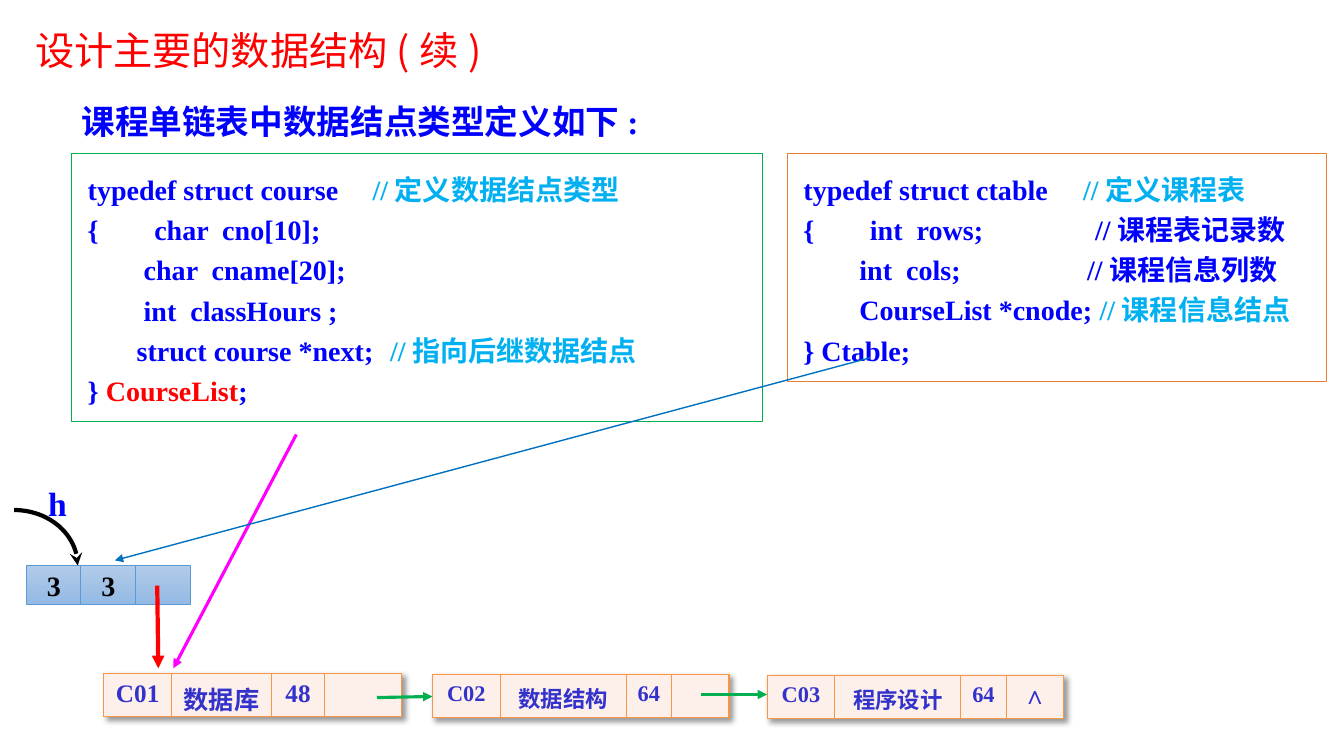
import math

from lxml import etree
from pptx import Presentation
from pptx import util as u
from pptx.dml.color import RGBColor
from pptx.enum import shapes, text
from pptx.oxml import ns

BLUE = RGBColor(0x00, 0x00, 0xFF)
CYAN = RGBColor(0x00, 0xB0, 0xF0)
RED = RGBColor(0xFF, 0x00, 0x00)
MAGENTA = RGBColor(0xFF, 0x00, 0xFF)
GREEN = RGBColor(0x00, 0xB0, 0x50)
ORANGE = RGBColor(0xED, 0x7D, 0x31)
LINK_BLUE = RGBColor(0x00, 0x70, 0xC0)
INDIGO = RGBColor(0x33, 0x33, 0xCC)
BLACK = RGBColor(0x00, 0x00, 0x00)
WHITE = RGBColor(0xFF, 0xFF, 0xFF)
CELL_EDGE = RGBColor(0x5B, 0x9B, 0xD5)
CELL_TOP = RGBColor(0xB1, 0xCB, 0xE9)
CELL_BOTTOM = RGBColor(0x93, 0xB9, 0xE4)
NODE_FILL = RGBColor(0xFD, 0xEF, 0xE9)
NODE_EDGE = RGBColor(0xF7, 0x96, 0x46)

SERIF, SANS = "Times New Roman", "Noto Sans CJK SC"
WIDTH, HEIGHT = u.Inches(13.33), u.Inches(7.5)
PLAIN_TABLE = "{2D5ABB26-0587-4C30-8999-92F81FD0307C}"

# Code lines: tab stops in columns, then (text, colour) pieces
COURSE_CODE = [
    ([21.2], [("typedef struct course\t", BLUE), ("//定义数据结点类型", CYAN)]),
    ([4.95], [("{\tchar  cno[10];", BLUE)]),
    ([], [("        char  cname[20];", BLUE)]),
    ([], [("        int  classHours ;", BLUE)]),
    ([22.5], [("       struct course *next;\t", BLUE), ("//指向后继数据结点", CYAN)]),
    ([], [("} ", BLUE), ("CourseList", RED), (";", BLUE)]),
]
CTABLE_CODE = [
    ([20.8], [("typedef struct ctable\t", BLUE), ("//定义课程表", CYAN)]),
    ([4.95, 21.7], [("{\tint  rows;\t//课程表记录数", BLUE)]),
    ([21.1], [("        int  cols;\t//课程信息列数", BLUE)]),
    ([], [("        CourseList *cnode; ", BLUE), ("//课程信息结点", CYAN)]),
    ([], [("} Ctable;", BLUE)]),
]


# Grid of 100 columns by 100 rows
def col(n):
    return u.Emu(round(WIDTH * n / 100))


def row(n):
    return u.Emu(round(HEIGHT * n / 100))


def place(x, y, w, h):
    return col(x), row(y), col(w), row(h)


def add_xml(parent, tag, **attrs):
    return etree.SubElement(parent, ns.qn(tag), {k: str(v) for k, v in attrs.items()})


def set_font(p, size, color, name=SERIF, bold=True):
    f = p.font
    f.name, f.size, f.bold = name, u.Pt(size), bold
    f.color.rgb = color


def add_label(slide, box, content, size, color, name=SERIF, bold=True):
    tf = slide.shapes.add_textbox(*place(*box)).text_frame
    tf.word_wrap = True
    p = tf.paragraphs[0]
    p.text = content
    set_font(p, size, color, name, bold)


def add_rect(slide, box, edge):
    sp = slide.shapes.add_shape(shapes.MSO_SHAPE.RECTANGLE, *place(*box))
    sp.shadow.inherit = False
    sp.line.color.rgb, sp.line.width = edge, u.Pt(0.5)
    return sp


def add_code(slide, box, edge, lines):
    sp = add_rect(slide, box, edge)
    sp.fill.solid()
    sp.fill.fore_color.rgb = WHITE
    tf = sp.text_frame
    tf.word_wrap = True
    tf.vertical_anchor = text.MSO_ANCHOR.TOP
    tf.margin_left = tf.margin_right = u.Inches(0.16)
    tf.margin_top = tf.margin_bottom = u.Inches(0.12)
    for i, (stops, pieces) in enumerate(lines):
        p = tf.add_paragraph() if i else tf.paragraphs[0]
        p.alignment = text.PP_ALIGN.LEFT
        p.line_spacing = 1.2
        if stops:
            tabs = add_xml(p._p.get_or_add_pPr(), "a:tabLst")
            for stop in stops:
                add_xml(tabs, "a:tab", pos=col(stop), algn="l")
        set_font(p, 20, BLUE)
        for content, color in pieces:
            r = p.add_run()
            r.text = content
            r.font.color.rgb = color


def add_head_cell(slide, box, value):
    sp = add_rect(slide, box, CELL_EDGE)
    sp.fill.gradient()
    sp.fill.gradient_angle = 270
    for stop, color in zip(sp.fill.gradient_stops, (CELL_TOP, CELL_BOTTOM)):
        stop.color.rgb = color
    if value:
        tf = sp.text_frame
        tf.word_wrap = False
        tf.vertical_anchor = text.MSO_ANCHOR.MIDDLE
        p = tf.paragraphs[0]
        p.text = value
        p.alignment = text.PP_ALIGN.CENTER
        set_font(p, 20, BLACK)


def add_arrow(slide, start, end, color, width):
    c = slide.shapes.add_connector(
        shapes.MSO_CONNECTOR.STRAIGHT, col(start[0]), row(start[1]), col(end[0]), row(end[1]))
    c.line.color.rgb, c.line.width = color, u.Pt(width)
    add_xml(c.line._get_or_add_ln(), "a:tailEnd", type="triangle")
    add_xml(c._element.spPr, "a:effectLst")


def add_curved_arrow(slide, x, y, w, h, steps=24):
    angles = [math.pi / 2 * i / steps for i in range(steps + 1)]
    points = [(col(x + w * math.sin(a)), row(y + h * (1 - math.cos(a)))) for a in angles]
    fb = slide.shapes.build_freeform(*points[0])
    fb.add_line_segments(points[1:], close=False)
    sp = fb.convert_to_shape()
    sp.shadow.inherit = False
    sp.fill.background()
    sp.line.color.rgb, sp.line.width = BLACK, u.Pt(3)
    add_xml(sp.line._get_or_add_ln(), "a:tailEnd", type="stealth")


def add_borders(cell):
    tcPr = cell._tc.get_or_add_tcPr()
    for i, side in enumerate(("a:lnL", "a:lnR", "a:lnT", "a:lnB")):
        ln = etree.Element(ns.qn(side), w=str(u.Pt(1)))
        add_xml(add_xml(ln, "a:solidFill"), "a:srgbClr", val=NODE_EDGE)
        tcPr.insert(i, ln)


def add_node(slide, x, y, widths, values, sizes):
    frame = slide.shapes.add_table(1, len(values), *place(x, y, sum(widths), 5.73))
    tbl = frame.table
    tblPr = tbl._tbl.tblPr
    tbl.first_row = tbl.horz_banding = False
    tblPr.find(ns.qn("a:tableStyleId")).text = PLAIN_TABLE
    # Soft shadow to the lower right
    effects = etree.Element(ns.qn("a:effectLst"))
    tblPr.insert(0, effects)
    shadow = add_xml(effects, "a:outerShdw", blurRad=u.Pt(4), dist=u.Pt(3), dir=2700000, algn="tl")
    add_xml(add_xml(shadow, "a:srgbClr", val=BLACK), "a:alpha", val=40000)
    for i, (width, value, size) in enumerate(zip(widths, values, sizes)):
        tbl.columns[i].width = col(width)
        cell = tbl.cell(0, i)
        cell.fill.solid()
        cell.fill.fore_color.rgb = NODE_FILL
        cell.margin_top, cell.margin_bottom = u.Inches(0.07), 0
        add_borders(cell)
        p = cell.text_frame.paragraphs[0]
        p.text = value
        p.alignment = text.PP_ALIGN.CENTER
        set_font(p, size, INDIGO)


def main():
    prs = Presentation()
    prs.slide_width, prs.slide_height = WIDTH, HEIGHT
    slide = prs.slides.add_slide(prs.slide_layouts[6])

    # Headings and type definitions
    add_label(slide, (1.88, 2.8, 45.23, 7.6), "设计主要的数据结构(续)", 28, RED, SANS, False)
    add_label(slide, (5.33, 12.67, 48.08, 6.8), "课程单链表中数据结点类型定义如下:", 24, BLUE)
    add_code(slide, (5.33, 20.27, 51.38, 35.47), GREEN, COURSE_CODE)
    add_code(slide, (58.58, 20.27, 40.13, 30.13), ORANGE, CTABLE_CODE)

    # Head node with its pointer h
    for i, value in enumerate(("3", "3", "")):
        add_head_cell(slide, (1.95 + 4.05 * i, 74.8, 4.13, 5.2), value)
    add_curved_arrow(slide, 1.05, 67.47, 4.73, 7.33)
    add_label(slide, (2.85, 63.2, 5.7, 6.67), "h", 24, BLUE)

    # Linked course nodes
    wide = (5.03, 9.38, 3.38, 4.28)
    add_node(slide, 7.73, 89.07, (5.03, 7.43, 3.98, 5.7), ("C01", "数据库", "48", ""), [18] * 4)
    add_node(slide, 32.18, 89.2, wide, ("C02", "数据结构", "64", ""), [16] * 4)
    add_node(slide, 57.08, 89.33, wide, ("C03", "程序设计", "64", "∧"), (16, 16, 16, 18))

    # Pointers
    add_arrow(slide, (11.7, 77.47), (11.78, 88.4), RED, 3)
    add_arrow(slide, (22.05, 57.47), (12.9, 88.4), MAGENTA, 2.25)
    add_arrow(slide, (64.73, 47.33), (8.55, 74.13), LINK_BLUE, 1)
    add_arrow(slide, (28.05, 92.27), (32.18, 92.13), GREEN, 2.25)
    add_arrow(slide, (52.13, 91.87), (57.08, 91.87), GREEN, 2.25)

    prs.save("out.pptx")


if __name__ == "__main__":
    main()
